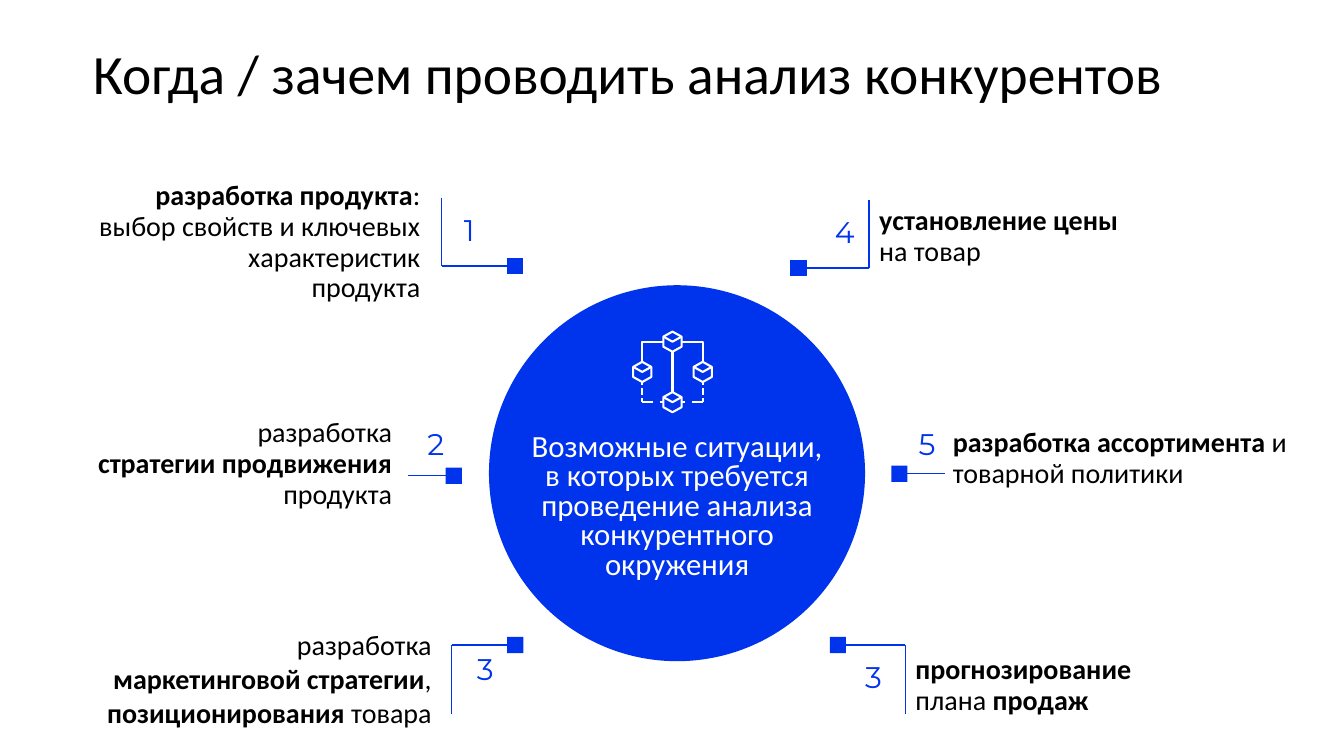
"""Build the slide on when and why to analyse competitors."""
import pptx
import pptx.util
import pptx.dml.color
import pptx.enum.shapes
import pptx.enum.text

Inches = pptx.util.Inches
Pt = pptx.util.Pt
Align = pptx.enum.text.PP_ALIGN
Anchor = pptx.enum.text.MSO_ANCHOR

BLUE, WHITE, BLACK = "0034EC", "FFFFFF", "000000"
TITLE = "Когда / зачем проводить анализ конкурентов"
CENTRE = "Возможные ситуации, в которых требуется проведение анализа конкурентного окружения"
CIRCLE = (4.85, 2.83, 3.73, 3.73)
MARKER = 0.16

CALLOUTS = [
    dict(number="1", number_at=(4.59, 2.09), box=(0.32, 1.76, 3.86, 1.25),
         align=Align.RIGHT, spacing=Pt(22), inset=(0, 0.03, 0.01),
         text=["**разработка продукта**:\nвыбор свойств и ключевых характеристик", "продукта"]),
    dict(number="2", number_at=(4.23, 4.21), box=(0.37, 4.12, 3.53, 0.94),
         align=Align.RIGHT, spacing=Pt(22.2), inset=(0, 0.02, 0.01),
         text=["разработка\n**стратегии продвижения**", "продукта"]),
    dict(number="3", number_at=(4.72, 6.45), box=(0.64, 6.18, 3.74, 1.11),
         align=Align.RIGHT, spacing=1.0, inset=(0.1, 0.05, 0.1),
         text=["разработка\n**маркетинговой стратегии**, **позиционирования** товара"]),
    dict(number="4", number_at=(8.27, 2.11), box=(8.72, 2.02, 3.12, 0.64),
         align=Align.LEFT, spacing=Pt(22), inset=(0, 0.02, 0),
         text=["**установление цены**", "на товар"]),
    dict(number="5", number_at=(9.1, 4.21), box=(9.43, 4.21, 3.35, 0.65),
         align=Align.LEFT, spacing=Pt(22), inset=(0.02, 0.03, 0),
         text=["**разработка ассортимента** и товарной политики"]),
    dict(number="3", number_at=(8.57, 6.52), box=(9.07, 6.46, 2.83, 0.65),
         align=Align.LEFT, spacing=Pt(22), inset=(0.01, 0.03, 0),
         text=["**прогнозирование** плана **продаж**"]),
]

LEADERS = [
    [[(5.13, 6.4), (4.48, 6.4)], [(4.48, 7.08), (4.48, 6.4)],
     [(8.33, 6.4), (8.98, 6.4)], [(8.98, 7.08), (8.98, 6.4)],
     [(4.42, 4.72), (4.05, 4.72)], [(9, 4.7), (9.37, 4.7)]],
    [[(7.95, 2.66), (8.62, 2.66)], [(8.62, 1.98), (8.62, 2.66)]],
    [[(5.12, 2.64), (4.38, 2.64)], [(4.38, 1.96), (4.38, 2.64)]],
]
MARKERS = [
    [(7.92, 2.66)],
    [(5.11, 2.64)],
    [(4.5, 4.72), (5.11, 6.4), (8.31, 6.4), (8.92, 4.7)],
]

ICON_CENTRE = (6.67, 3.69)
ICON_REACH = 0.3
CUBE_WIDTH, CUBE_HEIGHT = 0.09, 0.1
DASHES_ACROSS = [(0.04, 0.07), (0.14, 0.19), (0.23, 0.3)]
DASHES_DOWN = [(0.1, 0.13), (0.16, 0.23), (0.26, 0.3)]


def colour(value):
    return pptx.dml.color.RGBColor.from_string(value)


def write(frame, paragraphs, size=20, font="Calibri", ink=BLACK, align=Align.LEFT,
          spacing=1.0, inset=(0.01, 0.01, 0), anchor=Anchor.TOP):
    """Fill a text frame; double asterisks switch bold, newlines break the line."""
    frame.word_wrap = True
    frame.auto_size = pptx.enum.text.MSO_AUTO_SIZE.NONE
    frame.vertical_anchor = anchor
    frame.margin_left, frame.margin_top, frame.margin_right = map(Inches, inset)
    frame.margin_bottom = Inches(0)
    for index, text in enumerate(paragraphs):
        para = frame.paragraphs[0] if index == 0 else frame.add_paragraph()
        para.alignment, para.line_spacing = align, spacing
        para.space_before = Pt(0)
        for part, piece in enumerate(text.split("**")):
            for row, words in enumerate(piece.split("\n")):
                if row:
                    para.add_line_break()
                if words:
                    span = para.add_run()
                    span.text = words
                    span.font.name, span.font.size = font, Pt(size)
                    span.font.bold = part % 2 == 1
                    span.font.color.rgb = colour(ink)


def add_text(page, place, paragraphs, **style):
    box = page.shapes.add_textbox(*map(Inches, place))
    write(box.text_frame, paragraphs, **style)


def paint(shape, fill=None, ink=None, width=1):
    shape.shadow.inherit = False
    if fill:
        shape.fill.solid()
        shape.fill.fore_color.rgb = colour(fill)
    else:
        shape.fill.background()
    if ink:
        shape.line.color.rgb = colour(ink)
        shape.line.width = Pt(width)
    else:
        shape.line.fill.background()


def add_outline(page, strokes, close=False, **style):
    """Draw several strokes, each a list of points in inches, as one shape."""
    strokes = [[(Inches(x), Inches(y)) for x, y in stroke] for stroke in strokes]
    builder = page.shapes.build_freeform(*strokes[0][0], scale=1.0)
    for index, stroke in enumerate(strokes):
        if index:
            builder.move_to(*stroke[0])
        builder.add_line_segments(stroke[1:], close=close)
    paint(builder.convert_to_shape(), **style)


def square(x, y):
    half = MARKER / 2
    return [(x - half, y - half), (x + half, y - half),
            (x + half, y + half), (x - half, y + half)]


def cube(x, y):
    left, right = x - CUBE_WIDTH, x + CUBE_WIDTH
    high, low = y - CUBE_HEIGHT / 2, y + CUBE_HEIGHT / 2
    top, bottom = y - CUBE_HEIGHT, y + CUBE_HEIGHT
    return [[(x, top), (right, high), (right, low), (x, bottom),
             (left, low), (left, high), (x, top)],
            [(left, high), (x, y), (right, high)]]


def add_icon(page):
    x, y = ICON_CENTRE
    top, bottom = y - ICON_REACH, y + ICON_REACH
    strokes = cube(x, top) + cube(x, bottom)
    strokes.append([(x, top + CUBE_HEIGHT), (x, bottom - CUBE_HEIGHT)])
    for sign in (-1, 1):
        side = x + sign * ICON_REACH
        strokes += cube(side, y)
        strokes.append([(x + sign * CUBE_WIDTH, top), (side, top), (side, y - CUBE_HEIGHT)])
        strokes += [[(side, y + start), (side, y + end)] for start, end in DASHES_DOWN]
        strokes += [[(x + sign * (CUBE_WIDTH + start - 0.04), bottom),
                     (x + sign * (CUBE_WIDTH + end - 0.04), bottom)]
                    for start, end in DASHES_ACROSS[:2]]
        strokes.append([(x + sign * DASHES_ACROSS[2][0], bottom), (side, bottom)])
    add_outline(page, strokes, ink=WHITE, width=1.5)


def main():
    deck = pptx.Presentation()
    deck.slide_width, deck.slide_height = Inches(13.33), Inches(7.5)
    page = deck.slides.add_slide(deck.slide_layouts[5])
    title = page.shapes.title
    title.left, title.top, title.width, title.height = map(Inches, (0.83, 0.4, 11.45, 0.72))
    write(title.text_frame, [TITLE], size=39.6, spacing=0.9, inset=(0.09, 0, 0.1),
          anchor=Anchor.MIDDLE)
    circle = page.shapes.add_shape(pptx.enum.shapes.MSO_SHAPE.OVAL, *map(Inches, CIRCLE))
    paint(circle, fill=BLUE)
    for strokes in LEADERS:
        add_outline(page, strokes, ink=BLUE)
    for centres in MARKERS:
        add_outline(page, [square(*centre) for centre in centres], close=True, fill=BLUE)
    add_icon(page)
    add_text(page, (5.19, 4.27, 3.05, 1.58), [CENTRE], size=22, ink=WHITE,
             align=Align.CENTER, spacing=0.8, inset=(0, 0.03, 0))
    for item in CALLOUTS:
        add_text(page, (*item["number_at"], 0.25, 0.38), [item["number"]],
                 size=21.3, font="Montserrat", ink=BLUE)
        add_text(page, item["box"], item["text"], align=item["align"],
                 spacing=item["spacing"], inset=item["inset"])
    deck.save("out.pptx")


if __name__ == "__main__":
    main()
